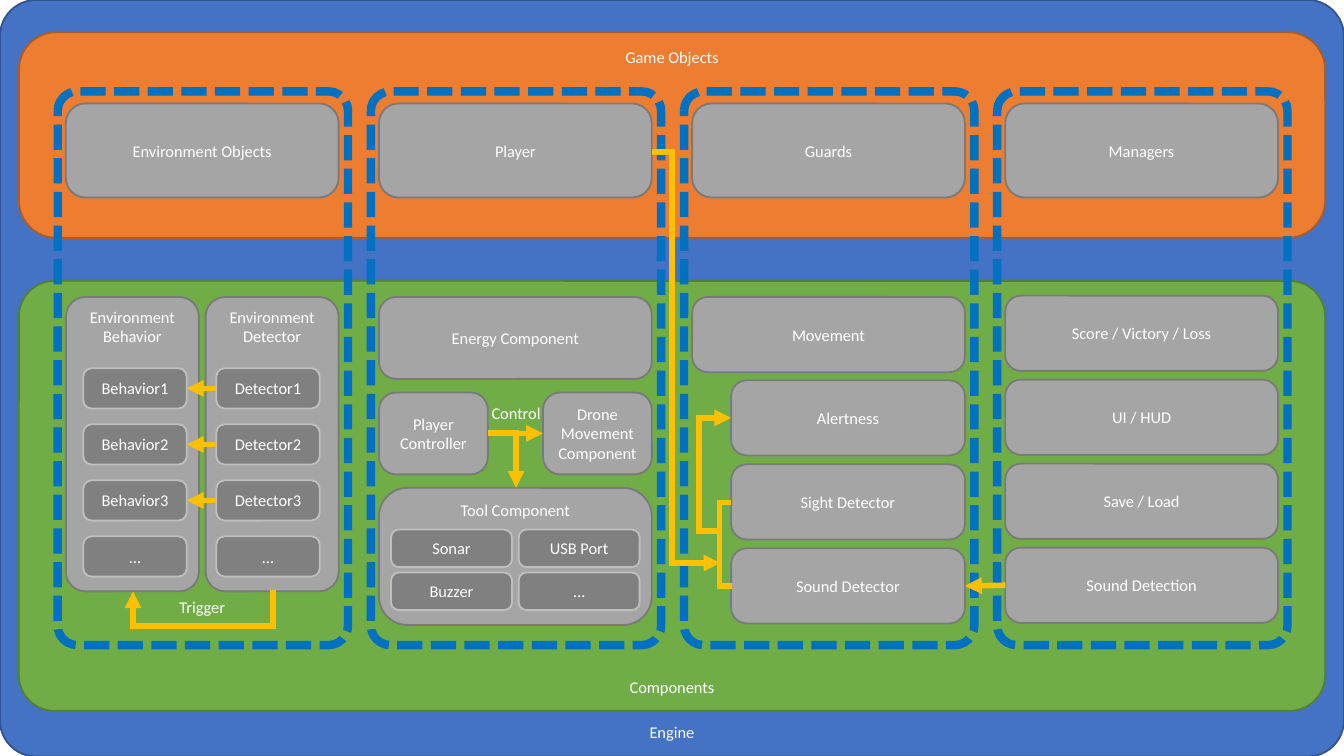
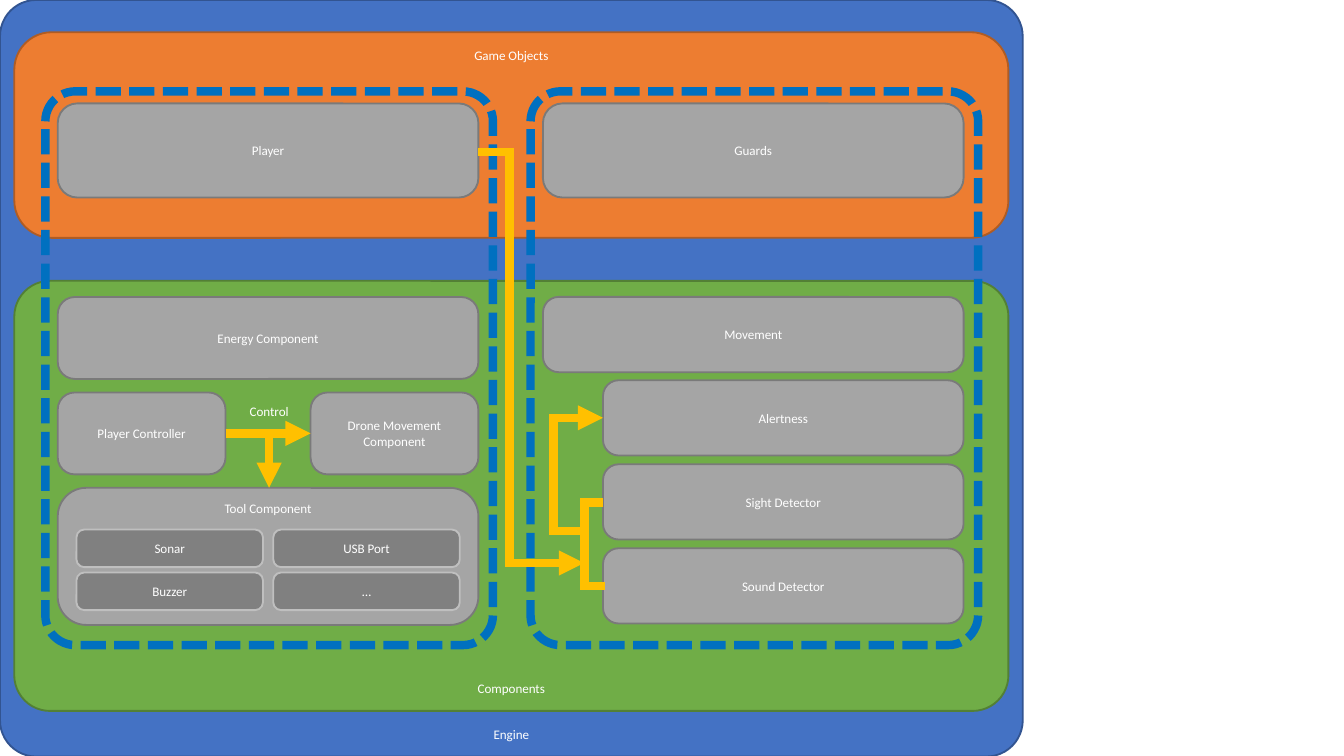
from lxml import etree
from pptx import Presentation
from pptx import util as u
from pptx.dml.color import RGBColor
from pptx.enum import dml, shapes, text
from pptx.oxml.ns import qn

FONT = "Calibri"
WHITE, GOLD = "FFFFFF", "FFC000"
BASE_WIDTH = 2.03
MIDDLE, TOP, BOTTOM = (text.MSO_ANCHOR.MIDDLE, text.MSO_ANCHOR.TOP,
                       text.MSO_ANCHOR.BOTTOM)

STYLES = {
    "engine": dict(fill="4472C4", line="325491", round=0.048, anchor=BOTTOM),
    "objects": dict(fill="ED7D31", line="AF5C24", round=0.182, anchor=TOP),
    "components": dict(fill="70AD47", line="538035", round=0.083, anchor=BOTTOM),
    "box": dict(fill="A5A5A5", line="7A7A7A", round=0.208, anchor=MIDDLE),
    "holder": dict(fill="A5A5A5", line="7A7A7A", round=0.208, anchor=TOP),
    "tall": dict(fill="A5A5A5", line="7A7A7A", round=0.146, anchor=TOP),
    "item": dict(fill="808080", line="BFBFBF", round=0.208, anchor=MIDDLE),
    "frame": dict(fill=None, line="0070C0", round=0.067, anchor=MIDDLE),
}

PANELS = [
    ("Engine", 0, 0, 10, 5.63, "engine"),
    ("Game Objects", 0.14, 0.24, 9.72, 1.53, "objects"),
    ("Components", 0.14, 2.09, 9.72, 3.2, "components"),
]


def stack(names, left, top, width, height, pitch, style="box"):
    return [(name, left, top + row * pitch, width, height, style)
            for row, name in enumerate(names)]


COLUMNS = {
    "Environment Objects": dict(
        boxes=[
            ("Environment Behavior", 0, 2.21, 0.99, 2.19, "tall"),
            *stack(["Behavior1", "Behavior2", "Behavior3", "…"],
                   0.13, 2.74, 0.77, 0.3, 0.417, "item"),
            ("Environment Detector", 1.04, 2.21, 0.99, 2.19, "tall"),
            *stack(["Detector1", "Detector2", "Detector3", "…"],
                   1.12, 2.74, 0.77, 0.3, 0.417, "item"),
        ],
        labels=[("Trigger", 0.74, 4.39, 0.55, False)],
        elbows=[dict(start=(1.54, 4.39), end=(0.5, 4.4), bend_y=4.66)],
    ),
    "Player": dict(
        boxes=[
            ("Energy Component", 0, 2.21, 2.03, 0.61, "box"),
            ("Tool Component", 0, 3.63, 2.03, 1.02, "holder"),
            *stack(["Sonar", "Buzzer"], 0.09, 3.94, 0.9, 0.28, 0.32, "item"),
            *stack(["USB Port", "…"], 1.04, 3.94, 0.9, 0.28, 0.32, "item"),
            ("Drone Movement Component", 1.22, 2.92, 0.81, 0.61, "box"),
            ("Player Controller", 0, 2.92, 0.81, 0.61, "box"),
        ],
        labels=[("Control", 0.67, 2.95, 0.7, True)],
        elbows=[
            dict(start=(2.03, 1.13), end=(2.54, 4.19), bend_x=2.18),
            dict(start=(0.81, 3.22), end=(1.02, 3.63)),
        ],
    ),
    "Guards": dict(
        boxes=[
            ("Movement", 0, 2.21, 2.03, 0.56, "box"),
            *stack(["Alertness", "Sight Detector", "Sound Detector"],
                   0.29, 2.83, 1.74, 0.56, 0.625),
        ],
        labels=[],
        elbows=[
            dict(start=(0.2, 3.95), end=(0.29, 3.11), bend_x=0.05),
            dict(start=(0.29, 3.74), end=(0.3, 4.36), bend_x=0.2, arrow=False),
        ],
    ),
    "Managers": dict(
        boxes=stack(["Score / Victory / Loss", "UI / HUD", "Save / Load",
                     "Sound Detection"], 0, 2.2, 2.03, 0.56, 0.625),
        labels=[],
        elbows=[],
    ),
}

LEFT, RIGHT = 1, 3
LINKS = [
    ("Detector1", LEFT, "Behavior1", RIGHT),
    ("Detector2", LEFT, "Behavior2", RIGHT),
    ("Detector3", LEFT, "Behavior3", RIGHT),
    ("Player Controller", RIGHT, "Drone Movement Component", LEFT),
    ("Sound Detection", LEFT, "Sound Detector", RIGHT),
]

SLIDES = [
    dict(columns=["Environment Objects", "Player", "Guards", "Managers"],
         width=10, left=0.49, column=2.03, pitch=2.33, size=8.8, arrow=3),
    dict(columns=["Player", "Guards"],
         width=7.61, left=0.43, column=3.13, pitch=3.61, size=7, arrow=4.5),
]


def color(value):
    return RGBColor.from_string(value)


def apply(target, values):
    for name, value in values.items():
        setattr(target, name, value)


def write(shape, words, size, **frame_format):
    frame = shape.text_frame
    apply(frame, frame_format)
    paragraph = frame.paragraphs[0]
    paragraph.alignment = text.PP_ALIGN.CENTER
    run = paragraph.add_run()
    run.text = words
    apply(run.font, dict(name=FONT, size=u.Pt(size)))
    run.font.color.rgb = color(WHITE)


def add_box(slide, words, left, top, width, height, style, size):
    look = STYLES[style]
    shape = slide.shapes.add_shape(shapes.MSO_SHAPE.ROUNDED_RECTANGLE,
                                   *map(u.Inches, (left, top, width, height)))
    shape.adjustments[0] = look["round"]
    shape.shadow.inherit = False
    shape.line.color.rgb = color(look["line"])
    shape.line.width = u.Pt(1)
    if look["fill"]:
        shape.fill.solid()
        shape.fill.fore_color.rgb = color(look["fill"])
    else:
        shape.fill.background()
        apply(shape.line, dict(width=u.Pt(4.5),
                               dash_style=dml.MSO_LINE.SQUARE_DOT))
    if words:
        side, edge = u.Inches(0.06), u.Inches(0.03)
        write(shape, words, size, word_wrap=True, vertical_anchor=look["anchor"],
              margin_left=side, margin_right=side,
              margin_top=edge, margin_bottom=edge)
    return shape


def add_label(slide, words, left, top, width, wrap, size):
    label = slide.shapes.add_textbox(*map(u.Inches, (left, top, width, 0.25)))
    write(label, words, size, word_wrap=wrap,
          auto_size=text.MSO_AUTO_SIZE.SHAPE_TO_FIT_TEXT)


def add_line(slide, kind, start, end, weight, arrow=True):
    connector = slide.shapes.add_connector(kind, *map(u.Inches, (*start, *end)))
    connector.line.color.rgb = color(GOLD)
    connector.line.width = u.Pt(weight)
    properties = connector._element.spPr
    outline = properties.find(qn("a:ln"))
    etree.SubElement(outline, qn("a:miter"), lim="800000")
    if arrow:
        etree.SubElement(outline, qn("a:tailEnd"), type="triangle")
    etree.SubElement(properties, qn("a:effectLst"))
    return connector


def add_elbow(slide, start, end, weight, bend_x=None, bend_y=None, arrow=True):
    (x1, y1), (x2, y2) = start, end
    ratio = None
    if bend_x is not None:
        ratio = (bend_x - x1) / (x2 - x1)
    elif bend_y is not None:
        ratio = (bend_y - y1) / (y2 - y1)
        middle_x, middle_y = (x1 + x2) / 2, (y1 + y2) / 2
        half_width, half_height = (y2 - y1) / 2, (x1 - x2) / 2
        start = middle_x - half_width, middle_y - half_height
        end = middle_x + half_width, middle_y + half_height
    connector = add_line(slide, shapes.MSO_CONNECTOR.ELBOW, start, end,
                         weight, arrow)
    properties = connector._element.spPr
    geometry = properties.find(qn("a:prstGeom"))
    if ratio is None:
        geometry.set("prst", "bentConnector2")
        return
    if bend_y is not None:
        properties.find(qn("a:xfrm")).set("rot", "5400000")
    guides = geometry.find(qn("a:avLst"))
    etree.SubElement(guides, qn("a:gd"), name="adj1",
                     fmla=f"val {round(ratio * 100000)}")


def build_slide(presentation, plan):
    slide = presentation.slides.add_slide(presentation.slide_layouts[6])
    size, weight = plan["size"], plan["arrow"]
    scale = plan["column"] / BASE_WIDTH
    panel_scale = plan["width"] / 10
    lefts = {name: plan["left"] + index * plan["pitch"]
             for index, name in enumerate(plan["columns"])}

    for words, left, top, width, height, style in PANELS:
        add_box(slide, words, left * panel_scale, top, width * panel_scale,
                height, style, size)

    boxes = {}
    for name, origin in lefts.items():
        rows = [(name, 0, 0.77, BASE_WIDTH, 0.7, "box"),
                *COLUMNS[name]["boxes"],
                (None, -0.06, 0.68, 2.16, 4.12, "frame")]
        for words, left, top, width, height, style in rows:
            boxes[words] = add_box(slide, words, origin + left * scale, top,
                                   width * scale, height, style, size)

    for name, origin in lefts.items():
        for words, left, top, width, wrap in COLUMNS[name]["labels"]:
            add_label(slide, words, origin + left * scale, top,
                      width * scale, wrap, size)
        for elbow in COLUMNS[name]["elbows"]:
            placed = dict(elbow)
            for key in ("start", "end"):
                x, y = elbow[key]
                placed[key] = origin + x * scale, y
            if "bend_x" in elbow:
                placed["bend_x"] = origin + elbow["bend_x"] * scale
            add_elbow(slide, weight=weight, **placed)

    for source, source_side, target, target_side in LINKS:
        if source in boxes and target in boxes:
            link = add_line(slide, shapes.MSO_CONNECTOR.STRAIGHT,
                            (0, 0), (1, 1), weight)
            link.begin_connect(boxes[source], source_side)
            link.end_connect(boxes[target], target_side)


def main():
    presentation = Presentation()
    width = u.Inches(10)
    apply(presentation, dict(slide_width=width, slide_height=width * 9 // 16))
    for plan in SLIDES:
        build_slide(presentation, plan)
    presentation.save("out.pptx")


if __name__ == "__main__":
    main()
